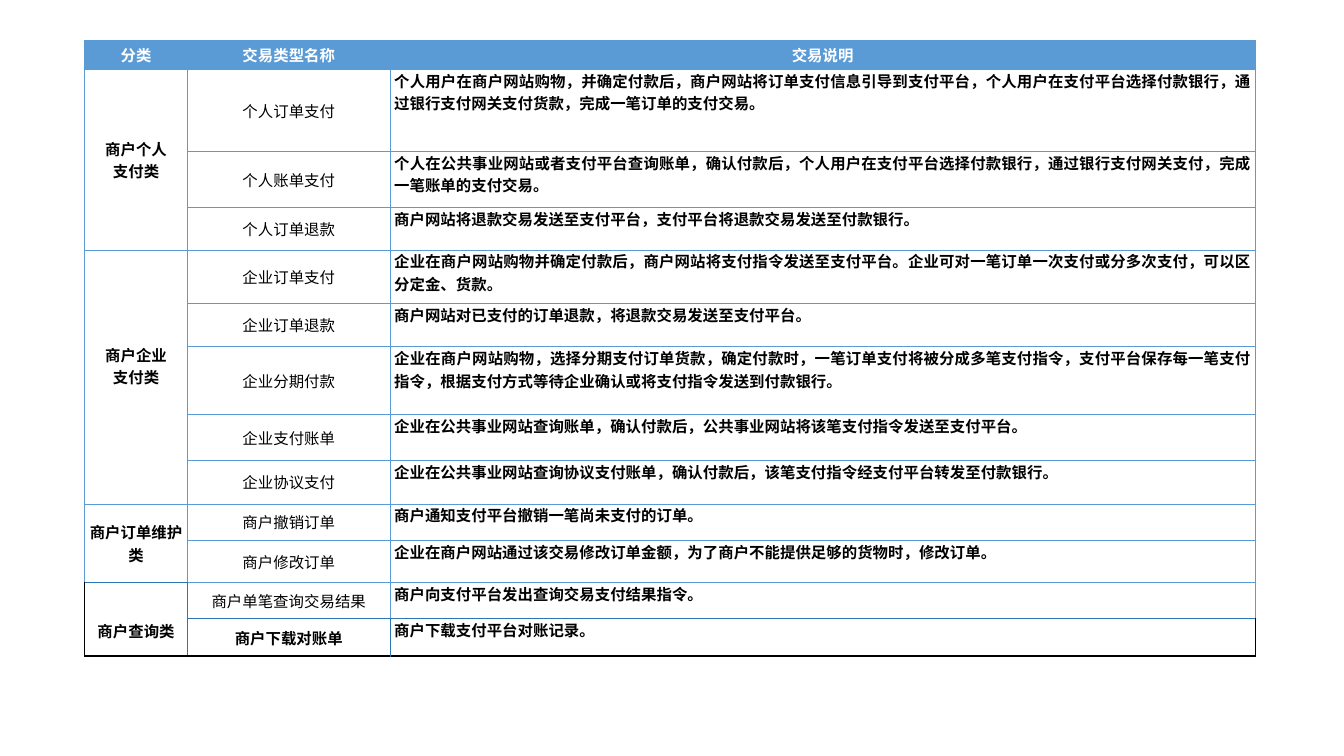
import pptx
import pptx.util
import pptx.dml.color
import pptx.enum.text
import pptx.oxml
import pptx.oxml.ns
from lxml import etree

Inches, Pt = pptx.util.Inches, pptx.util.Pt
ALIGN, ANCHOR = pptx.enum.text.PP_ALIGN, pptx.enum.text.MSO_ANCHOR

FONT = "Noto Sans CJK SC"
COLORS = {"grid": "5B9BD5", "query": "2E75B6", "text": "000000", "heading": "FFFFFF"}
LINE_GAP = 0.22

# Content: category lines, inset above, inset below, then (name, description, row height)
headings = ["分类", "交易类型名称", "交易说明"]
heading_height = 0.29
column_widths = [1.02, 2.01, 8.58]
categories = [
    (["商户个人", "支付类"], 0, 0, [
        ("个人订单支付", "个人用户在商户网站购物，并确定付款后，商户网站将订单支付信息引导到支付平台，"
         "个人用户在支付平台选择付款银行，通过银行支付网关支付货款，完成一笔订单的支付交易。", 0.81),
        ("个人账单支付", "个人在公共事业网站或者支付平台查询账单，确认付款后，"
         "个人用户在支付平台选择付款银行，通过银行支付网关支付，完成一笔账单的支付交易。", 0.56),
        ("个人订单退款", "商户网站将退款交易发送至支付平台，支付平台将退款交易发送至付款银行。", 0.42),
    ]),
    (["商户企业", "支付类"], 0, LINE_GAP, [
        ("企业订单支付", "企业在商户网站购物并确定付款后，商户网站将支付指令发送至支付平台。"
         "企业可对一笔订单一次支付或分多次支付，可以区分定金、货款。", 0.53),
        ("企业订单退款", "商户网站对已支付的订单退款，将退款交易发送至支付平台。", 0.43),
        ("企业分期付款", "企业在商户网站购物，选择分期支付订单货款，确定付款时，"
         "一笔订单支付将被分成多笔支付指令，支付平台保存每一笔支付指令，"
         "根据支付方式等待企业确认或将支付指令发送到付款银行。", 0.67),
        ("企业支付账单", "企业在公共事业网站查询账单，确认付款后，"
         "公共事业网站将该笔支付指令发送至支付平台。", 0.46),
        ("企业协议支付", "企业在公共事业网站查询协议支付账单，确认付款后，"
         "该笔支付指令经支付平台转发至付款银行。", 0.43),
    ]),
    (["商户订单维护类"], 0, 0, [
        ("商户撤销订单", "商户通知支付平台撤销一笔尚未支付的订单。", 0.36),
        ("商户修改订单", "企业在商户网站通过该交易修改订单金额，"
         "为了商户不能提供足够的货物时，修改订单。", 0.42),
    ]),
    (["商户查询类"], LINE_GAP, 0, [
        ("商户单笔查询交易结果", "商户向支付平台发出查询交易支付结果指令。", 0.36),
        ("商户下载对账单", "商户下载支付平台对账记录。", 0.37),
    ]),
]

# Borders that differ from the thin grid, by (row, column)
query_category = {"L": "text", "R": "query", "T": "query", "B": "text"}
special_borders = {
    (9, 0): {"B": "query"},
    (10, 0): {"B": "query"},
    (11, 0): query_category,
    (12, 0): query_category,
    (11, 1): {"L": "query", "B": "query"},
    (11, 2): {"B": "query"},
    (12, 1): {"L": "query", "T": "query", "R": "query", "B": "text"},
    (12, 2): {"L": "query", "T": "query", "R": "text", "B": "text"},
}


def write_cell(cell, lines, color="text", bold=True, align=ALIGN.CENTER, spacing=None):
    cell.margin_left = cell.margin_right = Inches(0.04)
    cell.margin_top = cell.margin_bottom = 0
    cell.vertical_anchor = ANCHOR.TOP if align == ALIGN.JUSTIFY else ANCHOR.MIDDLE
    for number, line in enumerate(lines):
        frame = cell.text_frame
        paragraph = frame.add_paragraph() if number else frame.paragraphs[0]
        paragraph.alignment = align
        paragraph.line_spacing = spacing
        run = paragraph.add_run()
        run.text = line
        run.font.name = FONT
        run.font.size = Pt(11)
        run.font.bold = bold
        run.font.color.rgb = pptx.dml.color.RGBColor.from_string(COLORS[color])
        east_asian = etree.SubElement(run.font._element, pptx.oxml.ns.qn("a:ea"))
        east_asian.set("typeface", FONT)


def draw_borders(cell, special):
    properties = cell._tc.get_or_add_tcPr()
    for position, side in enumerate("LRTB"):
        color = special.get(side, "grid")
        width = Pt(1) if side in special else Pt(0.5)
        properties.insert(position, pptx.oxml.parse_xml(
            f'<a:ln{side} {pptx.oxml.ns.nsdecls("a")} w="{width}"><a:solidFill>'
            f'<a:srgbClr val="{COLORS[color]}"/></a:solidFill></a:ln{side}>'))


# Slide
deck = pptx.Presentation()
deck.slide_width, deck.slide_height = Inches(13.33), Inches(7.5)
slide = deck.slides.add_slide(deck.slide_layouts[6])

# Table frame
heights = [heading_height] + [entry[2] for group in categories for entry in group[3]]
transactions = slide.shapes.add_table(
    len(heights), len(headings), Inches(0.84), Inches(0.4),
    Inches(sum(column_widths)), Inches(sum(heights))).table
transactions.horz_banding = False
for column, width in zip(transactions.columns, column_widths):
    column.width = Inches(width)
for row, height in zip(transactions.rows, heights):
    row.height = Inches(height)

# Headings
for column, heading in enumerate(headings):
    write_cell(transactions.cell(0, column), [heading], "heading")

# Categories with their transactions
row = 1
for category, inset_above, inset_below, entries in categories:
    category_cell = transactions.cell(row, 0)
    category_cell.merge(transactions.cell(row + len(entries) - 1, 0))
    write_cell(category_cell, category)
    category_cell.margin_top = Inches(inset_above)
    category_cell.margin_bottom = Inches(inset_below)
    for name, description, height in entries:
        write_cell(transactions.cell(row, 1), [name], bold=name == "商户下载对账单")
        write_cell(transactions.cell(row, 2), [description], align=ALIGN.JUSTIFY, spacing=Pt(16))
        row += 1

# Fills and borders
for row in range(len(heights)):
    for column in range(len(headings)):
        cell = transactions.cell(row, column)
        if row == 0:
            cell.fill.solid()
            cell.fill.fore_color.rgb = pptx.dml.color.RGBColor.from_string(COLORS["grid"])
        else:
            cell.fill.background()
        draw_borders(cell, special_borders.get((row, column), {}))

deck.save("out.pptx")
